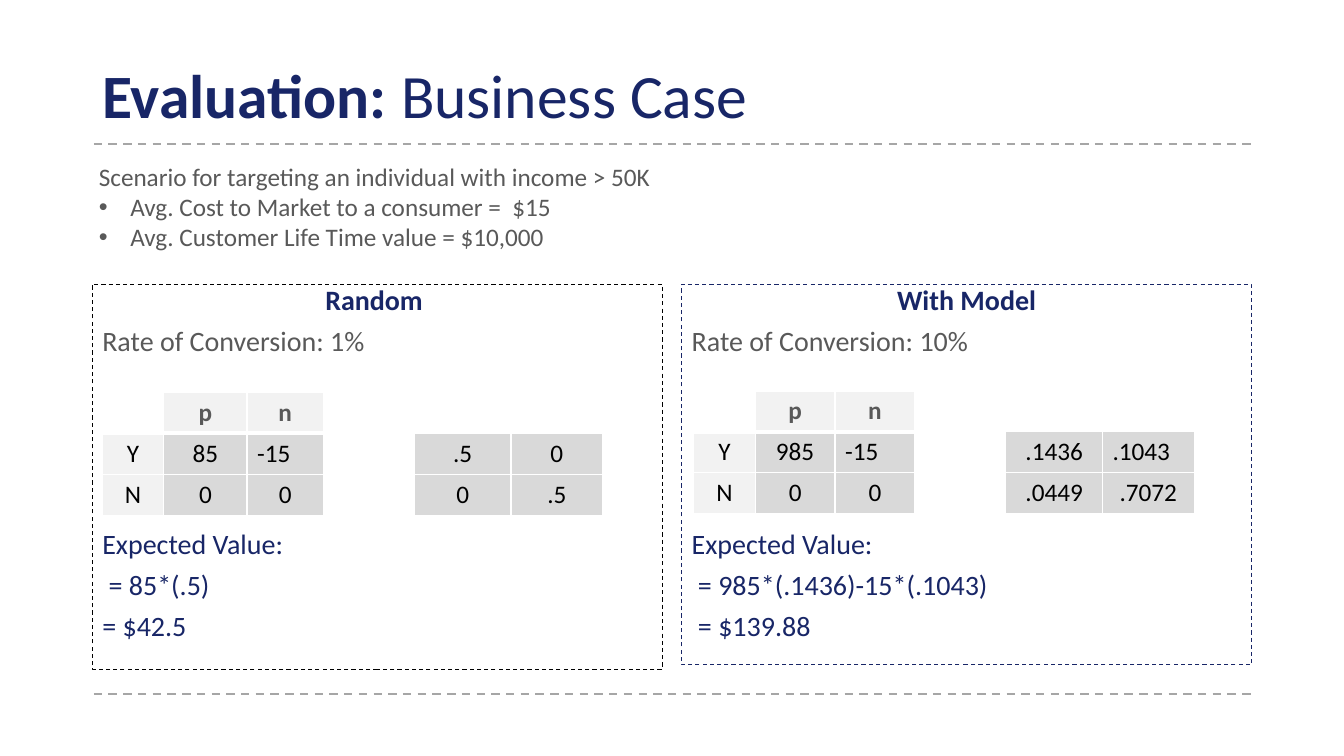
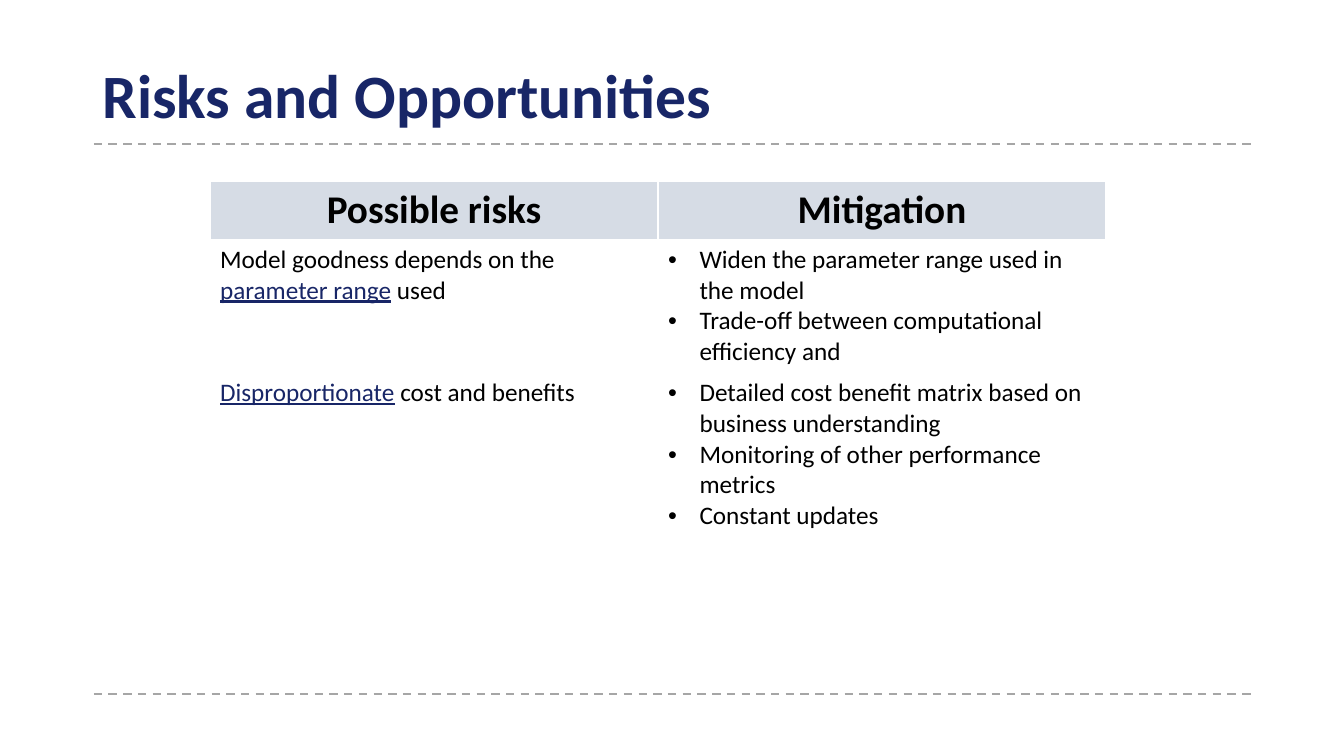
from lxml.etree import SubElement as Sub
from pptx import Presentation
from pptx.dml.color import RGBColor
from pptx.enum.dml import MSO_LINE_DASH_STYLE as Dash
from pptx.enum.shapes import MSO_CONNECTOR as Link, MSO_SHAPE as Form
from pptx.enum.text import MSO_ANCHOR as Anchor, MSO_AUTO_SIZE as Fit, PP_ALIGN as Align
from pptx.oxml.ns import qn
from pptx.util import Pt

NAVY = RGBColor(0x18, 0x26, 0x67)
GRAY = RGBColor(0x59, 0x59, 0x59)
RULE = RGBColor(0xA6, 0xA6, 0xA6)
BLACK = RGBColor(0, 0, 0)
WHITE = RGBColor(255, 255, 255)
PALE = RGBColor(0xF2, 0xF2, 0xF2)
MID = RGBColor(0xD9, 0xD9, 0xD9)
BLUE = RGBColor(0xD6, 0xDC, 0xE5)

TITLE = dict(size=Pt(44), color=NAVY, bold=True)
HEAD = dict(size=Pt(20), color=NAVY, bold=True)
RATE = dict(size=Pt(20), color=GRAY)
WORTH = dict(size=Pt(20), color=NAVY)
NOTE = dict(size=Pt(18), color=GRAY)
LABEL = dict(NOTE, bold=True)
BODY = dict(size=Pt(18), color=BLACK)
TERM = dict(size=Pt(18), color=NAVY, underline=True)
CROWN = dict(size=Pt(28), color=BLACK, bold=True)
CENTER = dict(alignment=Align.CENTER)
LEFT = dict(alignment=Align.LEFT)
FLUSH = {"-15", ".1043"}


def style(part, form):
    for key, val in form.items():
        if key == "color":
            part.color.rgb = val
        else:
            setattr(part, key, val)


def line(runs, form=LEFT, dot=False):
    return runs, form, dot


def point(text, font):
    return line([(text, font)], dot=True)


def pour(frame, lines):
    for num, (runs, form, dot) in enumerate(lines):
        para = frame.paragraphs[0] if num == 0 else frame.add_paragraph()
        style(para, form)
        for text, font in runs:
            run = para.add_run()
            run.text = text
            style(run.font, dict(font, name="Calibri"))
        if dot:
            prop = para._p.get_or_add_pPr()
            prop.set("marL", str(Pt(22.5)))
            prop.set("indent", str(Pt(-22.5)))
            Sub(prop, qn("a:buFont"), typeface="Arial")
            Sub(prop, qn("a:buChar"), char="•")


def edge(cell, side, width):
    prop = cell._tc.get_or_add_tcPr()
    rim = Sub(prop, qn("a:ln" + side), w=str(Pt(width)))
    fill = Sub(rim, qn("a:solidFill"))
    Sub(fill, qn("a:srgbClr"), val=str(WHITE))


def grid(slide, left, top, cols, rows, cells, thick=False):
    frame = slide.shapes.add_table(
        len(rows), len(cols), Pt(left), Pt(top), Pt(sum(cols)), Pt(sum(rows)))
    table = frame.table
    style(table, dict(first_row=False, horz_banding=False))
    for col, width in zip(table.columns, cols):
        col.width = Pt(width)
    for num, (row, high) in enumerate(zip(table.rows, rows)):
        row.height = Pt(high)
        for cell, (lines, fill) in zip(row.cells, cells[num]):
            for side in "LRTB":
                bold = thick and (num, side) in ((0, "B"), (1, "T"))
                edge(cell, side, 3 if bold else 1)
            if fill is None:
                cell.fill.background()
            else:
                cell.fill.solid()
                cell.fill.fore_color.rgb = fill
            pour(cell.text_frame, lines)


def item(text, fill=MID, font=BODY):
    form = LEFT if text in FLUSH else CENTER
    return [line([(text, font)], form)] if text else [], fill


def frame(deck, runs):
    slide = deck.slides.add_slide(deck.slide_layouts[5])
    title = slide.shapes.title
    style(title, dict(left=Pt(66), top=Pt(37.5), width=Pt(828), height=Pt(65.5)))
    style(title.text_frame, dict(vertical_anchor=Anchor.MIDDLE, word_wrap=True))
    pour(title.text_frame, [line(runs, dict(LEFT, line_spacing=0.9))])
    for y in (103, 495.5):
        rule = slide.shapes.add_connector(Link.STRAIGHT, Pt(67), Pt(y), Pt(895), Pt(y))
        style(rule.line, dict(color=RULE, width=Pt(1.5), dash_style=Dash.DASH))
        Sub(rule._element.spPr, qn("a:effectLst"))
    return slide


def brief(slide, left, top, width, height):
    box = slide.shapes.add_textbox(Pt(left), Pt(top), Pt(width), Pt(height))
    style(box.text_frame, dict(word_wrap=True, auto_size=Fit.SHAPE_TO_FIT_TEXT))
    pour(box.text_frame, [
        line([("Scenario for targeting an individual with income > 50K", NOTE)]),
        point("Avg. Cost to Market to a consumer =  $15", NOTE),
        point("Avg. Customer Life Time value = $10,000", NOTE),
    ])


def panel(slide, box, rim, texts, inset, cols, gain, odds):
    left, top, width, height = box
    card = slide.shapes.add_shape(
        Form.RECTANGLE, Pt(left), Pt(top), Pt(width), Pt(height))
    card.shadow.inherit = False
    card.fill.background()
    style(card.line, dict(color=rim, width=Pt(0.75), dash_style=Dash.DASH))
    style(card.text_frame, dict(vertical_anchor=Anchor.TOP, word_wrap=True))
    fonts = (HEAD, RATE, WORTH, WORTH, WORTH)
    gaps = (0, 10, 126, 10, 10)
    lines = []
    for num, (text, font, gap) in enumerate(zip(texts, fonts, gaps)):
        form = dict(LEFT if num else CENTER, line_spacing=0.8, space_before=Pt(gap))
        lines.append(line([(text, font)], form))
    pour(card.text_frame, lines)

    high = 29.25
    x, y = left + inset[0], top + inset[1]
    cells = [
        [item("", WHITE), item("p", PALE, LABEL), item("n", PALE, LABEL)],
        [item("Y", PALE), item(gain), item("-15")],
        [item("N", PALE), item("0"), item("0")],
    ]
    grid(slide, x, y, cols, [high] * 3, cells, thick=True)
    cells = [[item(text) for text in row] for row in odds]
    grid(slide, x + 223, y + high, [69, 65.5], [high] * 2, cells)


def case(deck):
    slide = frame(deck, [("Evaluation: ", TITLE),
                         ("Business Case", dict(TITLE, bold=False))])
    brief(slide, 63.5, 111.5, 480, 73)
    panel(slide, (487, 203, 407, 272), NAVY,
          ("With Model", "Rate of Conversion: 10%", "Expected Value:",
           " = 985*(.1436)-15*(.1043)", " = $139.88"),
          (8.5, 76.25), [44, 57, 57], "985",
          [[".1436", ".1043"], [".0449", ".7072"]])
    panel(slide, (66, 203, 407, 275), BLACK,
          ("Random ", "Rate of Conversion: 1%", "Expected Value:",
           " = 85*(.5)", "= $42.5"),
          (7, 77.25), [44, 59.5, 54.5], "85",
          [[".5", "0"], ["0", ".5"]])


def risks(deck):
    slide = frame(deck, [("Risks and Opportunities", TITLE)])
    cells = [
        [item("Possible risks", BLUE, CROWN), item("Mitigation", BLUE, CROWN)],
        [([line([("Model goodness depends on the ", BODY),
                 ("parameter range", TERM), (" used", BODY)])], None),
         ([point("Widen the parameter range used in the model", BODY),
           point("Trade-off between computational efficiency and", BODY)], None)],
        [([line([("Disproportionate", TERM),
                 (" cost and benefits", BODY)])], None),
         ([point("Detailed cost benefit matrix based on business understanding", BODY),
           point("Monitoring of other performance metrics", BODY),
           point("Constant updates", BODY)], None)],
    ]
    grid(slide, 150, 129.5, [320, 320], [41, 95, 114], cells)


def main():
    deck = Presentation()
    style(deck, dict(slide_width=Pt(960), slide_height=Pt(540)))
    case(deck)
    risks(deck)
    deck.save("out.pptx")


if __name__ == "__main__":
    main()
